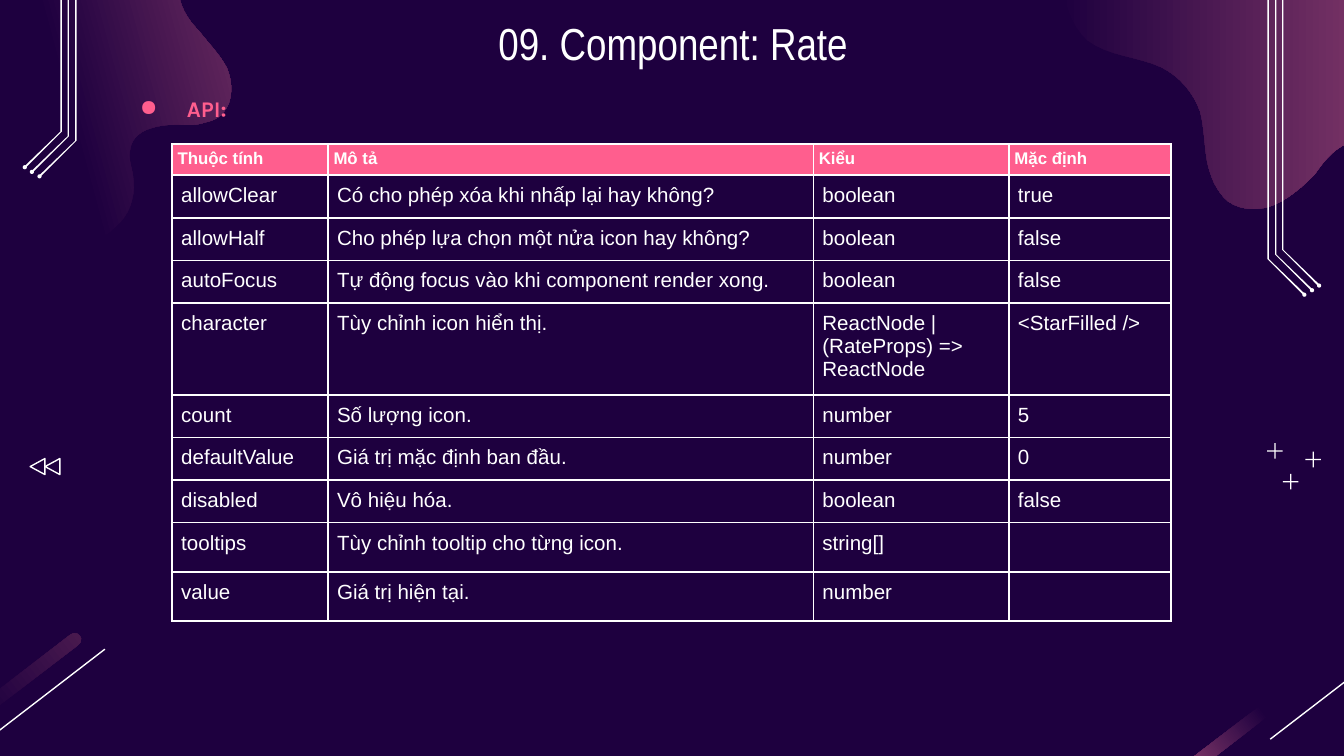
"""Build the slide that lists the API of the Rate component."""
import dataclasses

import pptx
import pptx.dml.color
import pptx.enum.shapes
import pptx.enum.text
import pptx.oxml
import pptx.oxml.ns
import pptx.util

Pt = pptx.util.Pt
KIND = pptx.enum.shapes.MSO_SHAPE
DARK, PINK, PLUM, DIM, WHITE = "1E003F", "FF5E8E", "A64D79", "4A1A4F", "FFFFFF"
WIDE, HIGH = 720, 405
GRID = 0.72
NS = pptx.oxml.ns.nsdecls("a")


@dataclasses.dataclass
class Blob:
    start: tuple
    curves: list
    rest: list
    angle: float
    dark: float


@dataclasses.dataclass
class Row:
    height: float
    texts: tuple


BLOBS = [
    Blob((-46, 106), [
        (-32, 110, -19, 119, -13, 133), (-8, 144, -8, 155, -3, 166),
        (6, 184, 29, 195, 48, 190), (74, 183, 86, 169, 90, 165),
        (98, 156, 101, 143, 99, 131), (98, 124, 95, 117, 97, 111),
        (98, 102, 106, 97, 114, 95), (124, 92, 133, 93, 142, 93),
        (146, 93, 150, 92, 153, 91), (158, 90, 163, 88, 166, 84),
        (174, 75, 173, 61, 169, 51), (164, 41, 155, 32, 148, 23),
        (140, 15, 133, 4, 133, -7), (133, -16, 136, -25, 143, -31),
    ], [(260, -45), (260, -155), (-195, -155), (-195, 80)], 15, 0.5),
    Blob((789, -38), [
        (789, -31, 789, -24, 790, -18), (791, 0, 796, 18, 809, 30),
        (825, 42, 847, 42, 864, 50), (878, 57, 888, 69, 893, 83),
        (896, 94, 896, 107, 898, 119), (900, 130, 905, 143, 914, 150),
        (924, 157, 938, 157, 949, 152), (960, 147, 969, 139, 978, 130),
        (983, 123, 988, 116, 995, 111), (1002, 106, 1010, 103, 1018, 106),
    ], [(1125, 106), (1125, -148), (789, -148)], 0, 0),
]
COLS = (83.5, 260, 104.8, 86.8)
ROWS = [
    Row(16.3, ("Thuộc tính", "Mô tả", "Kiểu", "Mặc định")),
    Row(22.2, ("allowClear", "Có cho phép xóa khi nhấp lại hay không?", "boolean", "true")),
    Row(22.2, ("allowHalf", "Cho phép lựa chọn một nửa icon hay không?", "boolean", "false")),
    Row(22.2, ("autoFocus", "Tự động focus vào khi component render xong.", "boolean", "false")),
    Row(46.6, ("character", "Tùy chỉnh icon hiển thị.", "ReactNode | (RateProps) => ReactNode",
               "<StarFilled />")),
    Row(22.2, ("count", "Số lượng icon.", "number", "5")),
    Row(22.2, ("defaultValue", "Giá trị mặc định ban đầu.", "number", "0")),
    Row(22.2, ("disabled", "Vô hiệu hóa.", "boolean", "false")),
    Row(25.7, ("tooltips", "Tùy chỉnh tooltip cho từng icon.", "string[]", "")),
    Row(25.7, ("value", "Giá trị hiện tại.", "number", "")),
]


def color(code: str):
    return pptx.dml.color.RGBColor.from_string(code)


def paint(shape, code: str) -> None:
    shape.shadow.inherit = False
    shape.fill.solid()
    shape.fill.fore_color.rgb = color(code)
    shape.line.fill.background()


def fade(shape, angle: float, dark: float, end: str) -> None:
    shape.shadow.inherit = False
    shape.line.fill.background()
    shape.fill.gradient()
    shape.fill.gradient_angle = angle
    for stop, place, code in zip(shape.fill.gradient_stops, (dark, 1), (DARK, end)):
        stop.position = place
        stop.color.rgb = color(code)


def block(slide, kind, left: float, top: float, width: float, height: float):
    return slide.shapes.add_shape(kind, Pt(left), Pt(top), Pt(width), Pt(height))


def outline(slide, spots: list):
    first, *others = [(Pt(x), Pt(y)) for x, y in spots]
    pen = slide.shapes.build_freeform(*first)
    pen.add_line_segments(others, close=True)
    return pen.convert_to_shape()


def bend(start: tuple, curve: tuple, steps: int = 8) -> list:
    ends = [start, curve[:2], curve[2:4], curve[4:]]
    spots = []
    for step in range(1, steps + 1):
        t = step / steps
        parts = ((1 - t) ** 3, 3 * t * (1 - t) ** 2, 3 * t * t * (1 - t), t ** 3)
        spots.append(tuple(sum(p * e[axis] for p, e in zip(parts, ends)) for axis in (0, 1)))
    return spots


def draw_blob(slide, blob: Blob) -> None:
    spots = [blob.start]
    for curve in blob.curves:
        spots += bend(spots[-1], curve)
    shape = outline(slide, [(x * GRID, y * GRID) for x, y in spots + blob.rest])
    fade(shape, blob.angle, blob.dark, PLUM)


def draw_streak(slide, shift: float, angle: float, end: str) -> None:
    pill = block(slide, KIND.ROUNDED_RECTANGLE, shift - 76.5, 377.5, 133, 7)
    pill.adjustments[0] = 0.5
    pill.rotation = -37.5
    fade(pill, angle, 0.5, end)
    line = slide.shapes.add_connector(pptx.enum.shapes.MSO_CONNECTOR.STRAIGHT, Pt(shift + 56.2),
                                      Pt(347.8), Pt(shift - 6.5), Pt(396))
    line.line.color.rgb = color(WHITE)
    line.line.width = Pt(0.75)
    line._element.spPr.append(pptx.oxml.parse_xml(f"<a:effectLst {NS}/>"))


def draw_trace(slide, x: float, y: float, top: float, left: bool) -> None:
    spots = [(x + 0.7, top), (x, top), (x, y), (x + 19.4, y + 19.4),
             (x + 20.1, y + 18.7), (x + 0.7, y)]
    middle = x + 19.8
    if left:
        spots = [(WIDE - a, b) for a, b in spots]
        middle = WIDE - middle
    paint(outline(slide, spots), WHITE)
    paint(block(slide, KIND.OVAL, middle - 1.1, y + 18, 2.2, 2.2), WHITE)


def draw_plus(slide, x: float, y: float) -> None:
    for wide, high in ((8.4, 0.7), (0.7, 8.4)):
        paint(block(slide, KIND.RECTANGLE, x - wide / 2, y - high / 2, wide, high), WHITE)


def draw_arrow(slide, left: float) -> None:
    shape = block(slide, KIND.ISOSCELES_TRIANGLE, left, 246, 8.6, 7.9)
    paint(shape, WHITE)
    shape.fill.background()
    shape.rotation = 270
    shape.line.color.rgb = color(WHITE)
    shape.line.width = Pt(0.75)


def write(group, text: str, size: float, face: str, code: str, bold: bool = False) -> None:
    run = group.add_run()
    run.text = text
    run.font.size, run.font.name, run.font.bold = Pt(size), face, bold
    run.font.color.rgb = color(code)


def pad(frame, gap: float) -> None:
    frame.margin_left = frame.margin_right = frame.margin_top = frame.margin_bottom = Pt(gap)


def draw_cell(cell, text: str, head: bool) -> None:
    pad(cell, 2.9 if head else 4.8)
    props = cell._tc.get_or_add_tcPr()
    for side in "LRTB":
        props.append(pptx.oxml.parse_xml(
            f'<a:ln{side} {NS} w="{Pt(1)}"><a:solidFill><a:srgbClr val="{WHITE}"/>'
            f"</a:solidFill></a:ln{side}>"))
    if head:
        cell.fill.solid()
        cell.fill.fore_color.rgb = color(PINK)
    else:
        cell.fill.background()
    group = cell.text_frame.paragraphs[0]
    if text:
        write(group, text, 9 if head else 11, "Arial", WHITE, head)
    else:
        group._p.append(pptx.oxml.parse_xml(f'<a:endParaRPr {NS} sz="1400"/>'))


def draw_table(slide) -> None:
    table = slide.shapes.add_table(len(ROWS), len(COLS), Pt(92.3), Pt(77.2), Pt(sum(COLS)),
                                   Pt(sum(row.height for row in ROWS))).table
    table.first_row = table.horz_banding = False
    for col, width in zip(table.columns, COLS):
        col.width = Pt(width)
    for i, row in enumerate(ROWS):
        table.rows[i].height = Pt(row.height)
        for j, text in enumerate(row.texts):
            draw_cell(table.cell(i, j), text, i == 0)


def draw_title(slide) -> None:
    title = slide.shapes.title
    title.left, title.top, title.width, title.height = Pt(57), Pt(0), Pt(607), Pt(45.4)
    frame = title.text_frame
    pad(frame, 7.2)
    frame.vertical_anchor = pptx.enum.text.MSO_ANCHOR.MIDDLE
    frame.paragraphs[0].alignment = pptx.enum.text.PP_ALIGN.CENTER
    write(frame.paragraphs[0], "09. Component: Rate", 24, "Arial Narrow", WHITE)


def draw_label(slide) -> None:
    frame = slide.shapes.add_textbox(Pt(57), Pt(36.7), Pt(584.6), Pt(34.6)).text_frame
    frame.word_wrap = True
    pad(frame, 7.2)
    group = frame.paragraphs[0]
    group.line_spacing = 1.5
    props = group._p.get_or_add_pPr()
    props.set("marL", str(Pt(36)))
    props.set("indent", str(Pt(-25.2)))
    props.append(pptx.oxml.parse_xml(f'<a:buClr {NS}><a:srgbClr val="{PINK}"/></a:buClr>'))
    props.append(pptx.oxml.parse_xml(f'<a:buChar {NS} char="●"/>'))
    write(group, "API:", 12, "Karla", PINK, True)


def main() -> None:
    deck = pptx.Presentation()
    deck.slide_width, deck.slide_height = Pt(WIDE), Pt(HIGH)
    slide = deck.slides.add_slide(deck.slide_layouts[5])
    slide.background.fill.solid()
    slide.background.fill.fore_color.rgb = color(DARK)
    for blob in BLOBS:
        draw_blob(slide, blob)
    draw_streak(slide, 0, 0, DIM)
    draw_streak(slide, 687, 180, PLUM)
    for left, lift in ((False, 0), (True, 63.4)):
        for x, y in ((686.9, 133.9), (683.1, 136.4), (679, 138.8)):
            draw_trace(slide, x, y - lift, -85.7 - lift, left)
    for x, y in ((691.5, 258.1), (703.5, 246.2), (683, 241.6)):
        draw_plus(slide, x, y)
    for left in (15.8, 23.8):
        draw_arrow(slide, left)
    draw_label(slide)
    draw_title(slide)
    draw_table(slide)
    deck.save("out.pptx")


if __name__ == "__main__":
    main()
